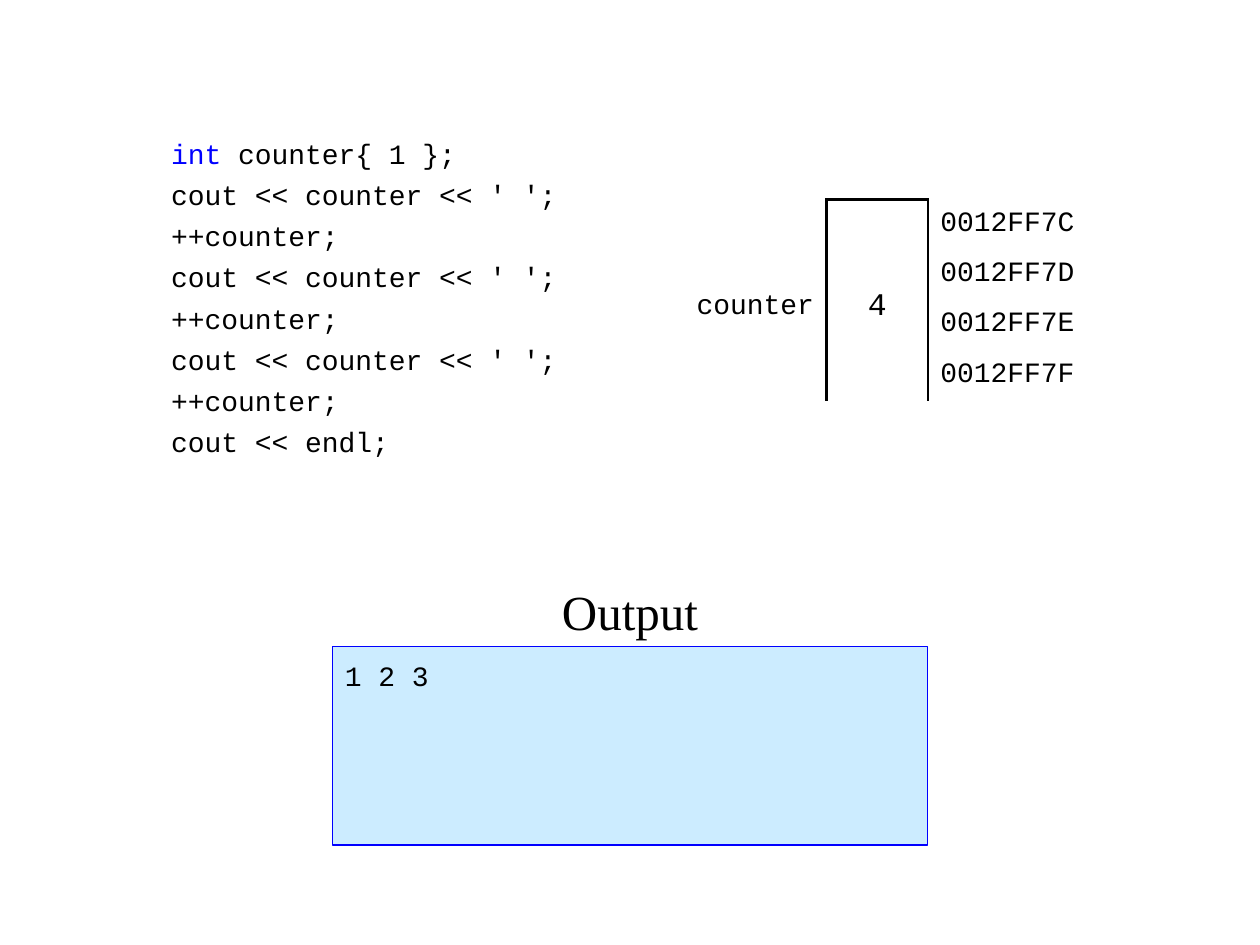
from lxml.etree import SubElement
from pptx import Presentation
from pptx.dml.color import RGBColor
from pptx.enum.shapes import MSO_SHAPE
from pptx.enum.text import MSO_ANCHOR, PP_ALIGN
from pptx.oxml.ns import qn
from pptx.util import Pt

BLACK = RGBColor(0, 0, 0)
BLUE = RGBColor(0, 0, 255)
PALE_BLUE = RGBColor(0xCC, 0xEC, 0xFF)
CODE_FONT = "Courier New"
TITLE_FONT = "Times New Roman"

CODE = [
    [("int", BLUE), (" counter{ 1 };", BLACK)],
    "cout << counter << ' ';",
    "++counter;",
    "cout << counter << ' ';",
    "++counter;",
    "cout << counter << ' ';",
    "++counter;",
    "cout << endl;",
]
ADDRESSES = ["0012FF7C", "0012FF7D", "0012FF7E", "0012FF7F"]


def write_text(frame, lines, font=CODE_FONT, size=16, align=PP_ALIGN.LEFT,
               gap=0, line_spacing=None):
    for index, line in enumerate(lines):
        paragraph = frame.paragraphs[0] if index == 0 else frame.add_paragraph()
        paragraph.alignment = align
        if index:
            paragraph.space_before = Pt(gap)
        if line_spacing:
            paragraph.line_spacing = line_spacing
        for text, color in [(line, BLACK)] if isinstance(line, str) else line:
            run = paragraph.add_run()
            run.text = text
            run.font.name = font
            run.font.size = Pt(size)
            run.font.color.rgb = color


def add_code(slide, left, top, width, height):
    frame = slide.shapes.add_textbox(Pt(left), Pt(top), Pt(width), Pt(height)).text_frame
    frame.word_wrap = True
    frame.margin_top = Pt(6.8)
    write_text(frame, CODE, gap=4.3)


def set_borders(cell, sides):
    properties = cell._tc.get_or_add_tcPr()
    for side in "LRTB":
        line = SubElement(properties, qn(f"a:ln{side}"), w=str(Pt(1.5)))
        if side in sides:
            fill = SubElement(line, qn("a:solidFill"))
            SubElement(fill, qn("a:srgbClr"), val=str(BLACK))
        else:
            SubElement(line, qn("a:noFill"))
    cell.fill.background()


def add_memory(slide, left, top, width, height):
    count = len(ADDRESSES)
    table = slide.shapes.add_table(count, 3, Pt(left), Pt(top), Pt(width), Pt(height)).table
    table.first_row = False
    table.horz_banding = False
    for column, share in zip(table.columns, (0.35, 0.24, 0.41)):
        column.width = Pt(width * share)
    for index, address in enumerate(ADDRESSES):
        table.rows[index].height = Pt(height / count)
        box_sides = "LR" + "T" * (index == 0) + "B" * (index == count - 1)
        for column, sides in enumerate(("R", box_sides, "L")):
            cell = table.cell(index, column)
            set_borders(cell, sides)
            cell.vertical_anchor = MSO_ANCHOR.MIDDLE
            cell.margin_top = cell.margin_bottom = Pt(3 if column == 2 else 0)
        write_text(table.cell(index, 2).text_frame, [address])
    for column, text, size, align in ((0, "counter", 16, PP_ALIGN.RIGHT),
                                      (1, "4", 18, PP_ALIGN.CENTER)):
        cell = table.cell(0, column)
        cell.merge(table.cell(count - 1, column))
        write_text(cell.text_frame, [text], size=size, align=align, line_spacing=1.4)


def add_output(slide, left, top, width, height):
    title_width, title_height = 113, 42.5
    title = slide.shapes.add_textbox(Pt(left + (width - title_width) / 2),
                                     Pt(top - title_height),
                                     Pt(title_width), Pt(title_height)).text_frame
    title.word_wrap = False
    title.vertical_anchor = MSO_ANCHOR.BOTTOM
    write_text(title, ["Output"], font=TITLE_FONT, size=28, align=PP_ALIGN.CENTER)

    screen = slide.shapes.add_shape(MSO_SHAPE.RECTANGLE, Pt(left), Pt(top),
                                    Pt(width), Pt(height))
    screen.shadow.inherit = False
    screen.fill.solid()
    screen.fill.fore_color.rgb = PALE_BLUE
    screen.line.color.rgb = BLUE
    screen.line.width = Pt(0.75)
    frame = screen.text_frame
    frame.vertical_anchor = MSO_ANCHOR.TOP
    frame.margin_top = Pt(6.8)
    write_text(frame, ["1 2 3"])


def main():
    presentation = Presentation()
    presentation.slide_width = Pt(720)
    presentation.slide_height = Pt(540)
    slide = presentation.slides.add_slide(presentation.slide_layouts[6])
    add_code(slide, 90.75, 71.25, 255, 199)
    add_output(slide, 190, 369.4, 340, 113.5)
    add_memory(slide, 388, 114, 241, 113.4)
    presentation.save("out.pptx")


if __name__ == "__main__":
    main()
